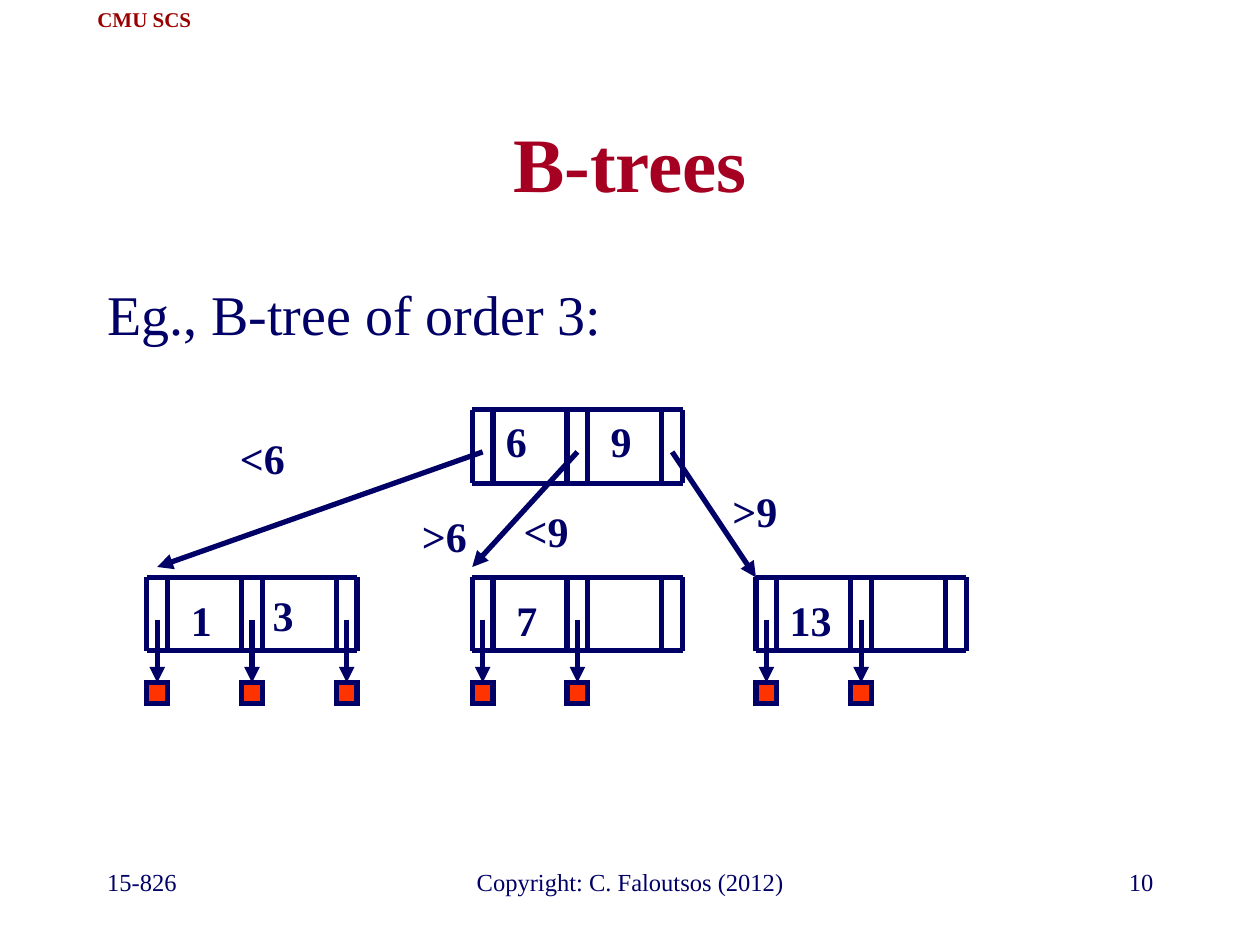
import pptx
import pptx.dml.color
import pptx.enum.shapes
import pptx.enum.text
import pptx.oxml
import pptx.oxml.ns
import pptx.util

Cm = pptx.util.Cm
ALIGN = pptx.enum.text.PP_ALIGN
ANCHOR = pptx.enum.text.MSO_ANCHOR

NAVY = "000066"
CRIMSON = "A50021"
MAROON = "990000"
ORANGE = "FF3300"

SLOT = 0.42
PITCH = 1.91
NODE_WIDTH = 2 * PITCH + SLOT
NODE_HEIGHT = 1.48
POINTER_Y = 0.85
RECORD_Y = 2.12
LABEL_HEIGHT = 1.27


def color(hex_string):
    """Turn a hex string into a colour."""
    return pptx.dml.color.RGBColor.from_string(hex_string)


def element(tag, attributes=""):
    """Make an empty drawing element."""
    return pptx.oxml.parse_xml(
        f'<a:{tag} {pptx.oxml.ns.nsdecls("a")} {attributes}/>')


def style(paragraph, size, hex_string, bold, align):
    """Format a whole paragraph."""
    paragraph.alignment = align
    paragraph.font.name = "Times New Roman"
    paragraph.font.size = pptx.util.Pt(size)
    paragraph.font.bold = bold
    paragraph.font.color.rgb = color(hex_string)


def add_text(slide, box, text, size, hex_string=NAVY, bold=False,
             align=ALIGN.LEFT, wrap=True, anchor=ANCHOR.TOP):
    """Add one paragraph of text in a box given in centimetres."""
    frame = slide.shapes.add_textbox(*map(Cm, box)).text_frame
    frame.word_wrap = wrap
    frame.vertical_anchor = anchor
    frame.text = text
    style(frame.paragraphs[0], size, hex_string, bold, align)


def add_label(slide, center_x, center_y, text):
    """Add a bold key or range label centred on a point."""
    width = 0.44 + 0.5 * len(text)
    box = (center_x - width / 2, center_y - LABEL_HEIGHT / 2, width, LABEL_HEIGHT)
    add_text(slide, box, text, 24, bold=True, align=ALIGN.CENTER, wrap=False)


def add_line(slide, start, end, arrow=False):
    """Draw a navy line between two points, with an arrowhead if asked."""
    line = slide.shapes.add_connector(
        pptx.enum.shapes.MSO_CONNECTOR.STRAIGHT, *map(Cm, (*start, *end)))
    line.line.width = pptx.util.Pt(3)
    line.line.color.rgb = color(NAVY)
    properties = line._element.spPr
    if arrow:
        line.line._get_or_add_ln().append(element("tailEnd", 'type="triangle"'))
    properties.append(element("effectLst"))


def add_node(slide, left, top, keys):
    """Draw a node of three pointer slots and its (text, x, y) keys."""
    bottom = top + NODE_HEIGHT
    for slot in range(3):
        for x in (left + slot * PITCH, left + slot * PITCH + SLOT):
            add_line(slide, (x, top), (x, bottom))
    for y in (top, bottom):
        add_line(slide, (left, y), (left + NODE_WIDTH, y))
    for text, x, y in keys:
        add_label(slide, left + x, top + y, text)


def add_records(slide, left, top, count):
    """Draw the records below a leaf and the arrows that lead to them."""
    for slot in range(count):
        slot_left = left + slot * PITCH
        middle = slot_left + SLOT / 2
        add_line(slide, (middle, top + POINTER_Y), (middle, top + RECORD_Y), True)
        record = slide.shapes.add_shape(
            pptx.enum.shapes.MSO_SHAPE.RECTANGLE,
            *map(Cm, (slot_left, top + RECORD_Y, SLOT, SLOT)))
        record.shadow.inherit = False
        record.fill.solid()
        record.fill.fore_color.rgb = color(ORANGE)
        record.line.color.rgb = color(NAVY)
        record.line.width = pptx.util.Pt(3)
        record.line._get_or_add_ln().append(element("miter", 'lim="800000"'))


def add_tree(slide, left, top):
    """Draw the root, its leaves and the range arrows between them."""
    root_left, leaf_top = left + 6.56, top + 3.38
    add_node(slide, root_left, top, [("6", 0.89, 0.62), ("9", 3, 0.62)])
    leaves = [
        (0, 3, [("1", 1.1, 0.85), ("3", 2.75, 0.75)]),
        (6.56, 2, [("7", 1.1, 0.85)]),
        (12.28, 2, [("13", 1.1, 0.85)]),
    ]
    for x, count, keys in leaves:
        add_node(slide, left + x, leaf_top, keys)
        add_records(slide, left + x, leaf_top, count)
    for slot, (x, y) in enumerate([(0.21, 3.17), (6.56, 3.17), (12.28, 3.38)]):
        start = (root_left + slot * PITCH + SLOT / 2, top + POINTER_Y)
        add_line(slide, start, (left + x, top + y), True)
    ranges = [("<6", 2.33, 0.97), (">6", 6, 2.54), ("<9", 8.05, 2.44),
              (">9", 12.26, 2.03)]
    for text, x, y in ranges:
        add_label(slide, left + x, top + y, text)


def add_title(slide, box):
    """Place and format the title placeholder."""
    title = slide.shapes.title
    title.left, title.top, title.width, title.height = map(Cm, box)
    title.text_frame.text = "B-trees"
    title.text_frame.vertical_anchor = ANCHOR.MIDDLE
    style(title.text_frame.paragraphs[0], 44, CRIMSON, True, ALIGN.CENTER)


def add_footer(slide, left, top):
    """Write the course, copyright line and page number."""
    parts = [
        (0, 5.29, "15-826", ALIGN.LEFT),
        (6.77, 8.05, "Copyright: C. Faloutsos (2012)", ALIGN.CENTER),
        (16.3, 5.29, "10", ALIGN.RIGHT),
    ]
    for x, width, text, align in parts:
        add_text(slide, (left + x, top, width, 1.27), text, 14, align=align)


def main():
    """Build the slide and save it."""
    deck = pptx.Presentation()
    deck.slide_width, deck.slide_height = Cm(25.4), Cm(19.05)
    slide = deck.slides.add_slide(deck.slide_layouts[5])
    add_text(slide, (1.71, 0, 2.4, 0.77), "CMU SCS", 12, MAROON, True,
             ALIGN.CENTER, False, ANCHOR.MIDDLE)
    add_title(slide, (1.91, 1.67, 21.59, 3.18))
    add_text(slide, (1.91, 5.52, 21.59, 1.7), "Eg., B-tree of order 3:", 32)
    add_tree(slide, 2.96, 8.26)
    add_footer(slide, 1.91, 17.36)
    deck.save("out.pptx")


if __name__ == "__main__":
    main()
